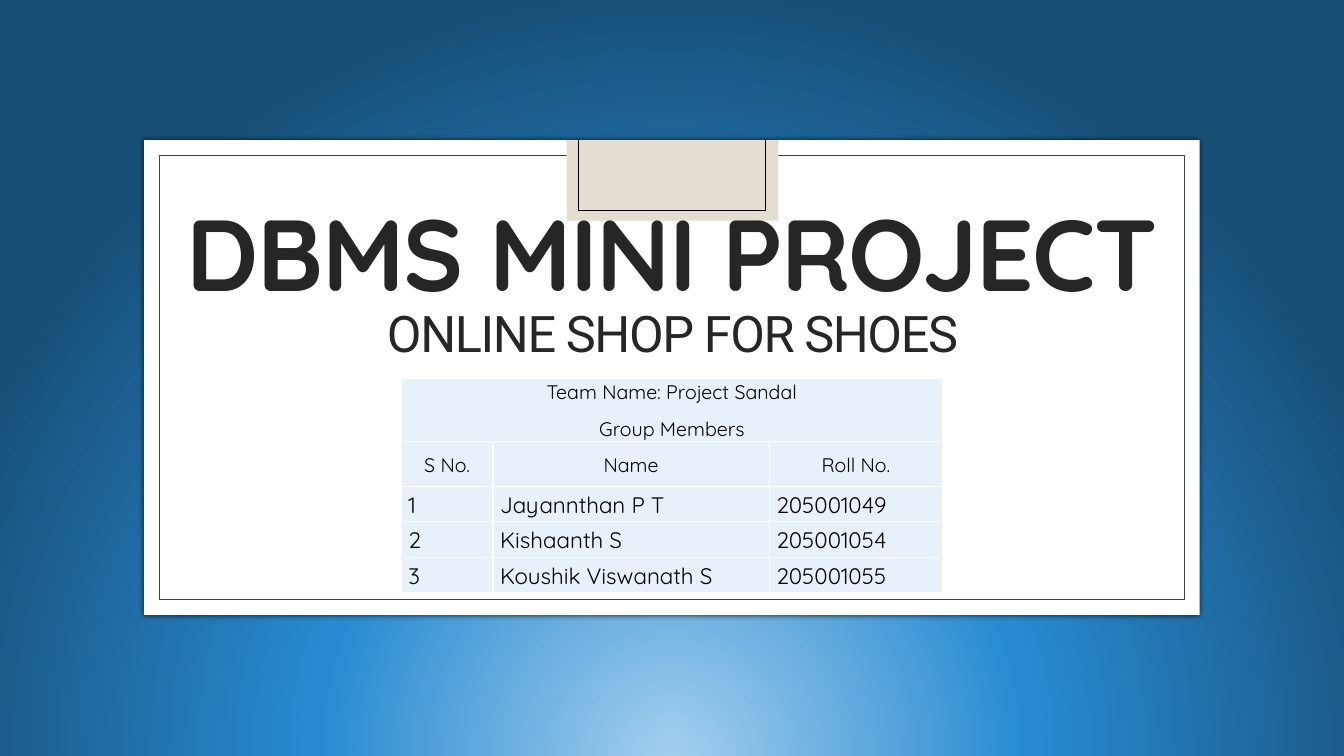
from dataclasses import dataclass

from lxml.etree import SubElement
from pptx import Presentation
from pptx.dml.color import RGBColor
from pptx.enum.shapes import MSO_CONNECTOR, MSO_SHAPE
from pptx.enum.text import MSO_ANCHOR, MSO_AUTO_SIZE, PP_ALIGN
from pptx.oxml import parse_xml
from pptx.oxml.ns import nsdecls, qn
from pptx.slide import Slide
from pptx.table import _Cell
from pptx.text.text import _Paragraph
from pptx.util import Inches, Pt

WHITE = RGBColor(0xFF, 0xFF, 0xFF)
BLACK = RGBColor(0, 0, 0)
INK = RGBColor(0x26, 0x26, 0x26)
EDGE = RGBColor(0x40, 0x40, 0x40)
SAND = RGBColor(0xE3, 0xDE, 0xD1)
PALE = RGBColor(0xE8, 0xF1, 0xFA)
GLOW = RGBColor(0xA3, 0xCE, 0xED)
BLUE = RGBColor(0x28, 0x8B, 0xD1)
NAVY = RGBColor(0x17, 0x4F, 0x77)


@dataclass
class Panel:
    left: float
    top: float
    width: float
    height: float
    fill: RGBColor | None = None
    line: RGBColor | None = None
    shade: bool = False


@dataclass
class Line:
    x1: float
    y1: float
    x2: float
    y2: float


@dataclass
class Style:
    font: str
    size: int
    color: RGBColor
    bold: bool = False
    track: int = 0


PANELS = [
    Panel(1.43, 1.39, 10.47, 4.71, fill=WHITE, shade=True),
    Panel(1.58, 1.54, 10.17, 4.41, line=EDGE),
    Panel(5.62, 1.39, 2.1, 0.8, fill=SAND),
]
CLIP = [
    Line(5.74, 1.39, 5.74, 2.09),
    Line(7.59, 1.39, 7.59, 2.09),
    Line(5.74, 2.09, 7.59, 2.09),
]
HEAD = Style("Quicksand", 72, INK, bold=True, track=-100)
SUB = Style("Roboto", 36, INK, track=-100)
LABEL = Style("Quicksand", 14, BLACK)
ENTRY = Style("Quicksand", 16, BLACK)

COLS = [0.91, 2.74, 1.72]
ROWS = [0.48, 0.45, 0.35, 0.35, 0.35]
TEAM = ["Team Name: Project Sandal", "Group Members"]
GRID = [
    ["S No.", "Name", "Roll No."],
    ["1", "Jayannthan P T", "205001049"],
    ["2", "Kishaanth S", "205001054"],
    ["3", "Koushik Viswanath S", "205001055"],
]


def paint_back(slide: Slide) -> None:
    """Fill the background with a round glow from below the slide."""
    stops = "".join(
        f'<a:gs pos="{pos * 1000}"><a:srgbClr val="{color}"/></a:gs>'
        for pos, color in [(0, GLOW), (46, BLUE), (100, NAVY)]
    )
    back = parse_xml(
        f'<p:bg {nsdecls("p", "a")}><p:bgPr><a:gradFill rotWithShape="1">'
        f'<a:gsLst>{stops}</a:gsLst><a:path path="circle">'
        '<a:fillToRect l="50000" t="130000" r="50000" b="-30000"/></a:path>'
        '</a:gradFill><a:effectLst/></p:bgPr></p:bg>'
    )
    slide.element.cSld.insert(0, back)


def add_panel(slide: Slide, panel: Panel) -> None:
    box = (panel.left, panel.top, panel.width, panel.height)
    shape = slide.shapes.add_shape(MSO_SHAPE.RECTANGLE, *map(Inches, box))
    shape.shadow.inherit = False
    if panel.fill is None:
        shape.fill.background()
    else:
        shape.fill.solid()
        shape.fill.fore_color.rgb = panel.fill
    if panel.line is None:
        shape.line.fill.background()
    else:
        shape.line.color.rgb = panel.line
        shape.line.width = Pt(0.5)
    if panel.shade:
        effects = shape.element.spPr.find(qn("a:effectLst"))
        effects.append(parse_xml(
            f'<a:outerShdw {nsdecls("a")} blurRad="{Pt(4)}" dist="0" '
            f'algn="ctr" rotWithShape="0"><a:srgbClr val="{BLACK}">'
            '<a:alpha val="66000"/></a:srgbClr></a:outerShdw>'
        ))


def add_line(slide: Slide, line: Line) -> None:
    ends = map(Inches, (line.x1, line.y1, line.x2, line.y2))
    edge = slide.shapes.add_connector(MSO_CONNECTOR.STRAIGHT, *ends)
    edge.line.color.rgb = BLACK
    edge.line.width = Pt(0.5)
    SubElement(edge._element.spPr, qn("a:effectLst"))


def add_run(para: _Paragraph, text: str, style: Style) -> None:
    run = para.add_run()
    run.text = text
    run.font.name = style.font
    run.font.size = Pt(style.size)
    run.font.bold = style.bold
    run.font.color.rgb = style.color
    if style.track:
        run.font._element.set("spc", str(style.track))


def set_title(slide: Slide) -> None:
    title = slide.shapes.title
    title.left, title.top = Inches(1.71), Inches(1.43)
    title.width, title.height = Inches(9.92), Inches(2.83)
    slide.shapes._spTree.append(title.element)  # in front of the panels
    frame = title.text_frame
    frame.word_wrap = True
    frame.auto_size = MSO_AUTO_SIZE.NONE
    frame.vertical_anchor = MSO_ANCHOR.MIDDLE
    para = frame.paragraphs[0]
    para.alignment = PP_ALIGN.CENTER
    para.line_spacing = 0.83
    para.space_before = Pt(0)
    add_run(para, "DBMS MINI PROJECT", HEAD)
    para.add_line_break()
    add_run(para, "ONLINE SHOP FOR SHOES", SUB)


def dress_cell(cell: _Cell) -> None:
    """Give a cell its fill, margins and white borders."""
    cell.fill.solid()
    cell.fill.fore_color.rgb = PALE
    cell.vertical_anchor = MSO_ANCHOR.MIDDLE
    cell.margin_left = cell.margin_right = Inches(0.07)
    cell.margin_top = cell.margin_bottom = 0
    for spot, side in enumerate(("lnL", "lnR", "lnT", "lnB")):
        cell._tc.tcPr.insert(spot, parse_xml(
            f'<a:{side} {nsdecls("a")} w="{Pt(1)}"><a:solidFill>'
            f'<a:srgbClr val="{WHITE}"/></a:solidFill></a:{side}>'
        ))


def fill_cell(cell: _Cell, lines: list[str], style: Style, align: PP_ALIGN) -> None:
    frame = cell.text_frame
    for spot, text in enumerate(lines):
        para = frame.add_paragraph() if spot else frame.paragraphs[0]
        para.alignment = align
        para.line_spacing = 1.06
        para.space_after = Pt(8)
        add_run(para, text, style)


def add_team(slide: Slide) -> None:
    box = map(Inches, (3.98, 3.75, sum(COLS), sum(ROWS)))
    table = slide.shapes.add_table(len(ROWS), len(COLS), *box).table
    table.first_row = table.horz_banding = False
    for col, width in zip(table.columns, COLS):
        col.width = Inches(width)
    for row, height in zip(table.rows, ROWS):
        row.height = Inches(height)
    for cell in table.iter_cells():
        dress_cell(cell)
    table.cell(0, 0).merge(table.cell(0, len(COLS) - 1))
    fill_cell(table.cell(0, 0), TEAM, LABEL, PP_ALIGN.CENTER)
    for row, texts in enumerate(GRID, 1):
        style, align = (LABEL, PP_ALIGN.CENTER) if row == 1 else (ENTRY, PP_ALIGN.LEFT)
        for col, text in enumerate(texts):
            fill_cell(table.cell(row, col), [text], style, align)


def main() -> None:
    deck = Presentation()
    deck.slide_width, deck.slide_height = Inches(13.33), Inches(7.5)
    slide = deck.slides.add_slide(deck.slide_layouts[0])
    sub = slide.placeholders[1].element
    sub.getparent().remove(sub)
    paint_back(slide)
    for panel in PANELS:
        add_panel(slide, panel)
    for line in CLIP:
        add_line(slide, line)
    set_title(slide)
    add_team(slide)
    deck.save("out.pptx")


if __name__ == "__main__":
    main()
